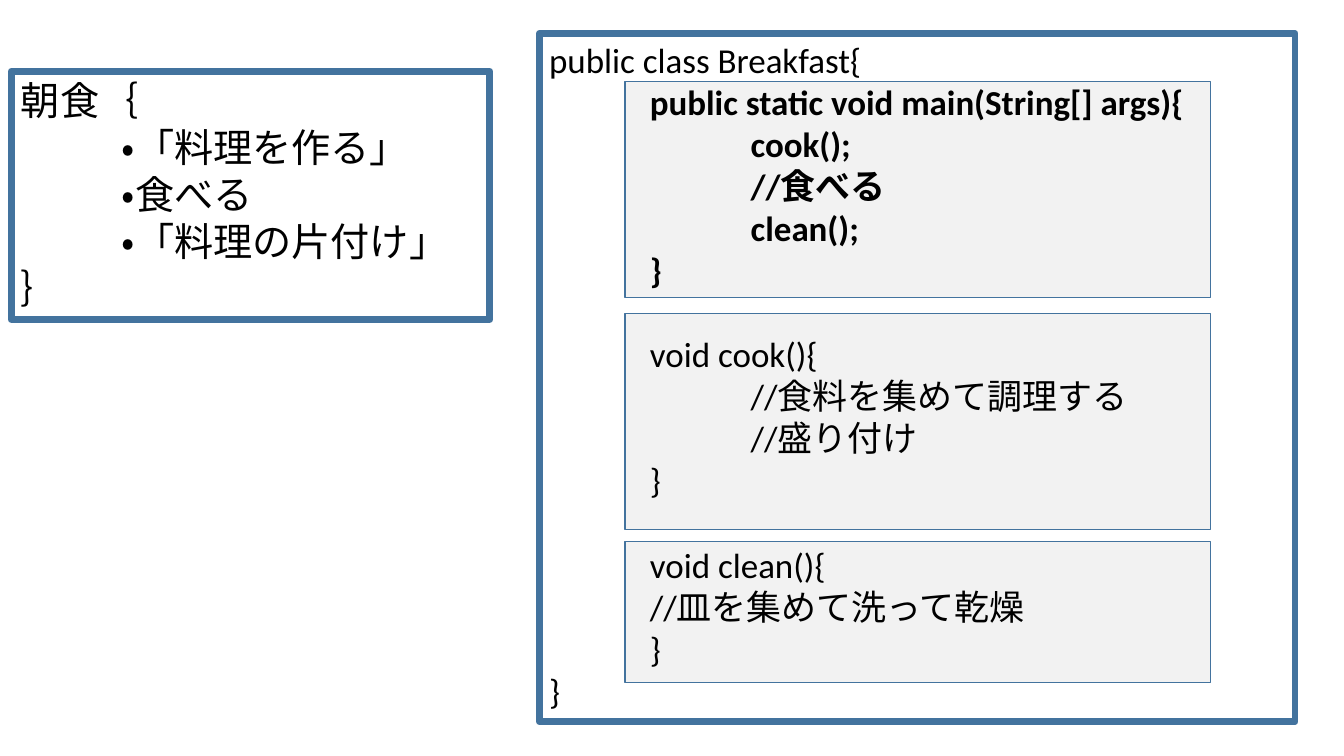
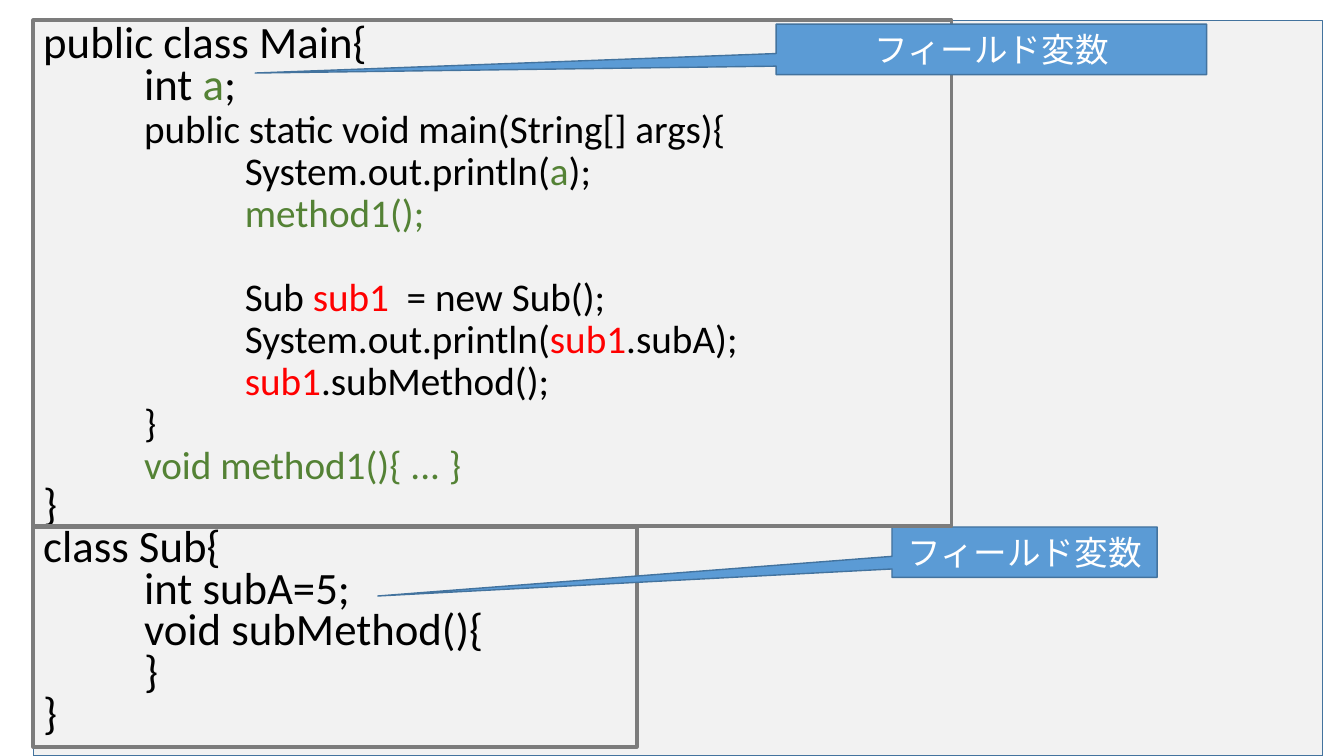
import pptx
import pptx.util
import pptx.dml.color
import pptx.enum.lang
import pptx.enum.shapes
import pptx.enum.text

Cm, Pt = pptx.util.Cm, pptx.util.Pt
RGB = pptx.dml.color.RGBColor
KIND = pptx.enum.shapes.MSO_SHAPE
ALIGN = pptx.enum.text.PP_ALIGN
ANCHOR = pptx.enum.text.MSO_ANCHOR

# Shared colours and formats
BLACK = RGB(0x00, 0x00, 0x00)
WHITE = RGB(0xFF, 0xFF, 0xFF)
PALE = RGB(0xF2, 0xF2, 0xF2)
NAVY = RGB(0x43, 0x73, 0x9E)
BLUE = RGB(0x5B, 0x9B, 0xD5)
GRAY = RGB(0x7C, 0x7C, 0x7C)
GREEN = RGB(0x54, 0x82, 0x35)
RED = RGB(0xFF, 0x00, 0x00)
TAB = Cm(2.54)
FONT = {"name": "Calibri", "language_id": pptx.enum.lang.MSO_LANGUAGE_ID.JAPANESE}
FRAME = {"word_wrap": True, "vertical_anchor": ANCHOR.TOP}
PARA = {"alignment": ALIGN.LEFT}

# Content: each line is (indent level, runs, format); a run is text or (text, colour)
MEAL = [
    (0, ["朝食｛"], {}),
    (1, ["・「料理を作る」"], {}),
    (1, ["・食べる"], {}),
    (1, ["・「料理の片付け」"], {}),
    (0, ["｝"], {}),
]
BOLD, GAP = {"bold": True}, {"gap": 30.5}
CLASS = [
    (0, ["public class Breakfast{"], {}),
    (1, ["public static void main(String[] args){"], BOLD),
    (2, ["cook();"], BOLD),
    (2, ["//食べる"], BOLD),
    (2, ["clean();"], BOLD),
    (1, ["}"], BOLD),
    (1, ["void cook(){"], GAP),
    (2, ["//食料を集めて調理する"], {}),
    (2, ["//盛り付け"], {}),
    (1, ["}"], {}),
    (1, ["void clean(){"], GAP),
    (1, ["//皿を集めて洗って乾燥"], {}),
    (1, ["}"], {}),
    (0, ["}"], {}),
]
SMALL = {"size": 28}
CODE = [
    (0, ["public class Main{"], {}),
    (1, ["int ", ("a", GREEN), ";"], {}),
    (1, ["public static void main(String[] args){"], SMALL),
    (2, ["System.out.println(", ("a", GREEN), ");"], SMALL),
    (2, [("method1();", GREEN)], SMALL),
    (2, ["Sub ", ("sub1", RED), "  = new Sub();"], {"size": 28, "gap": 30}),
    (2, ["System.out.println(", ("sub1", RED), ".subA);"], SMALL),
    (2, [("sub1", RED), ".subMethod();"], SMALL),
    (1, ["}"], SMALL),
    (1, [("void method1(){ ... }", GREEN)], SMALL),
    (0, ["}"], {}),
    (0, ["class Sub{"], {}),
    (1, ["int subA=5;"], {}),
    (1, ["void subMethod(){"], {}),
    (1, ["}"], {}),
    (0, ["}"], {}),
]
LABEL = [(0, ["フィールド変数"], {})]

# Method panels: top, height
PANELS = [(7.9, 5.44), (13.64, 3.56), (2.06, 5.44)]


def put(obj, vals):
    for key, val in vals.items():
        setattr(obj, key, val)


def box(slide, at, fill=None, line=NAVY, width=1, kind=KIND.RECTANGLE):
    shape = slide.shapes.add_shape(kind, *map(Cm, at))
    shape.shadow.inherit = False
    if fill is None:
        shape.fill.background()
    else:
        shape.fill.solid()
        shape.fill.fore_color.rgb = fill
    shape.line.color.rgb = line
    shape.line.width = Pt(width)
    return shape


def write(shape, lines, size, color=BLACK, frame=FRAME, para=PARA):
    text = shape.text_frame
    put(text, frame)
    for num, (level, runs, form) in enumerate(lines):
        p = text.add_paragraph() if num else text.paragraphs[0]
        put(p, {**para, "space_before": Pt(form.get("gap", 0))})
        if level:
            p._p.get_or_add_pPr().set("marL", str(level * TAB))
        for part in runs:
            words, tint = (part, color) if isinstance(part, str) else part
            run = p.add_run()
            run.text = words
            put(run.font, {**FONT, "size": Pt(form.get("size", size)),
                           "bold": form.get("bold", False)})
            run.font.color.rgb = tint


def label(slide, at, tip):
    shape = box(slide, at, BLUE, kind=KIND.RECTANGULAR_CALLOUT)
    for num, val in enumerate(tip):
        shape.adjustments[num] = val
    write(shape, LABEL, 24, WHITE, {**FRAME, "vertical_anchor": ANCHOR.MIDDLE},
          {"alignment": ALIGN.CENTER})


def meal(slide):
    for top, high in PANELS:
        box(slide, (15.75, top, 14.76, high), PALE)
    write(box(slide, (0.28, 1.8, 12.07, 6.25), width=5), MEAL, 28)
    write(box(slide, (13.59, 0.84, 19.05, 17.35), width=4.75), CLASS, 25)


def fields(slide):
    page = box(slide, (0.84, 0.51, 32.49, 18.54), PALE)
    write(page, CODE, 32, para={**PARA, "line_spacing": Pt(30)})
    # Class outlines and their callouts
    box(slide, (0.84, 13.28, 15.21, 5.54), line=GRAY, width=2.75)
    label(slide, (22.48, 13.28, 6.68, 1.27), (-2.44, 0.87))
    box(slide, (0.84, 0.51, 23.14, 12.75), line=GRAY, width=2.75)
    label(slide, (19.56, 0.61, 10.85, 1.27), (-1.71, 0.47))


def main():
    deck = pptx.Presentation()
    put(deck, {"slide_width": Cm(33.87), "slide_height": Cm(19.05)})
    for draw in (meal, fields):
        draw(deck.slides.add_slide(deck.slide_layouts[6]))
    deck.save("out.pptx")


if __name__ == "__main__":
    main()
